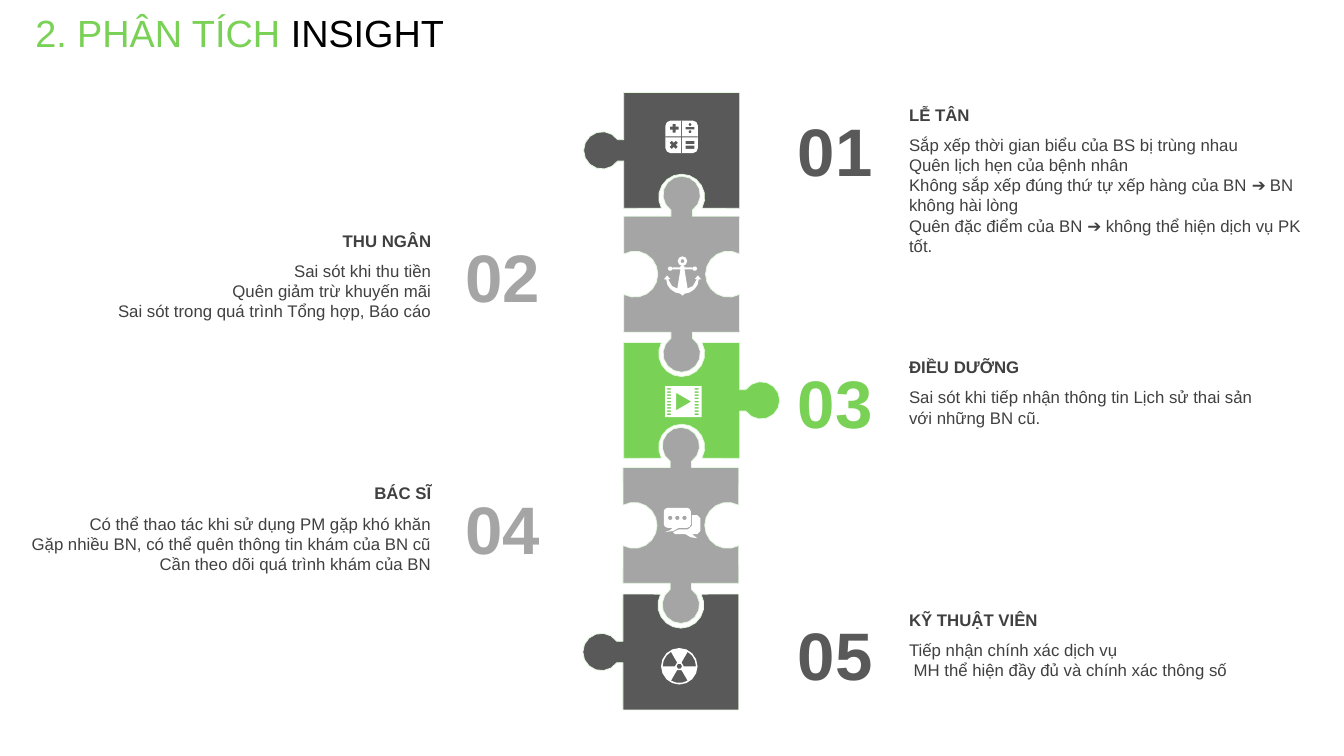
import math

import pptx
import pptx.dml.color
import pptx.enum.text
import pptx.util

Cm = pptx.util.Cm
Pt = pptx.util.Pt
RGB = pptx.dml.color.RGBColor
ALIGN = pptx.enum.text.PP_ALIGN
FIT = pptx.enum.text.MSO_AUTO_SIZE

DARK = RGB(0x59, 0x59, 0x59)
GREY = RGB(0xA5, 0xA5, 0xA5)
GREEN = RGB(0x79, 0xD1, 0x55)
PALE = RGB(0xE5, 0xFA, 0xE1)
INK = RGB(0x40, 0x40, 0x40)
WHITE = RGB(0xFF, 0xFF, 0xFF)
BLACK = RGB(0, 0, 0)

HALF = 1.46


def arc(x, y, r, start, end, steps):
    turns = [math.radians(start + (end - start) * i / steps) for i in range(steps + 1)]
    return [(x + r * math.cos(a), y + r * math.sin(a)) for a in turns]


def disc(x, y, r):
    steps = 16 if r > 0.2 else 8 if r > 0.1 else 6
    return arc(x, y, r, 0, 360, steps)[:-1]


def box(x, y, w, h):
    return [(x + a * w, y + b * h) for a, b in ((-1, -1), (1, -1), (1, 1), (-1, 1))]


def round_box(x, y, w, h, r):
    return [p for i, (cx, cy) in enumerate(box(x, y, w - r, h - r))
            for p in arc(cx, cy, r, 180 + 90 * i, 270 + 90 * i, 2)]


def plus(x, y, arm, half, turn=0):
    points = []
    for i in range(4):
        a = math.radians(turn + 90 * i)
        for u, v in ((arm, -half), (arm, half), (half, half)):
            points.append((x + u * math.cos(a) - v * math.sin(a),
                           y + u * math.sin(a) + v * math.cos(a)))
    return points


def edge(kind):
    if kind == "-":
        return []
    sign, mid, r, neck = (1, 0.54, 0.47, 0.27) if kind == "t" else (-1, -0.28, 0.58, 0.51)
    sweep = math.pi - math.asin(neck / r)
    curve = []
    for i in range(13):
        a = sweep * (i / 6 - 1)
        curve.append((r * math.sin(a), mid + sign * r * math.cos(a)))
    return [(-neck, 0)] + curve + [(neck, 0)] if kind == "t" else curve


def puzzle(kinds):
    points = []
    for kind, (nx, ny) in zip(kinds, ((0, -1), (1, 0), (0, 1), (-1, 0))):
        for t, d in [(-HALF, 0)] + edge(kind):
            points.append((-ny * t + nx * (HALF + d), nx * t + ny * (HALF + d)))
    return points


def sums():
    return [round_box(0, 0, 0.41, 0.41, 0.13), plus(0, 0, 0.41, 0.01),
            plus(-0.19, -0.22, 0.11, 0.04), plus(-0.2, 0.2, 0.11, 0.04, 45),
            box(0.21, -0.22, 0.11, 0.03), disc(0.21, -0.31, 0.04), disc(0.21, -0.13, 0.04),
            box(0.21, 0.14, 0.11, 0.04), box(0.21, 0.26, 0.11, 0.04)]


def anchor():
    side = [(0.05, -0.26), (0.05, -0.22), (0.25, -0.22), (0.25, -0.17), (0.05, -0.17),
            (0.13, 0.31), (0.26, 0.25), (0.36, 0.08), (0.31, 0.07), (0.39, -0.02),
            (0.47, 0.08), (0.41, 0.08), (0.38, 0.22), (0.3, 0.33), (0.18, 0.41),
            (0.06, 0.44)]
    return [side + [(0, 0.49)] + [(-x, y) for x, y in reversed(side)],
            disc(0, -0.38, 0.12), disc(0, -0.38, 0.05),
            disc(0.31, -0.19, 0.06), disc(-0.31, -0.19, 0.06)]


def film():
    holes = [box(x, 0.08 * i, 0.05, 0.02) for x in (-0.36, 0.34) for i in range(-4, 5)]
    return [box(0, 0, 0.46, 0.39), [(-0.18, -0.22), (-0.18, 0.22), (0.2, 0)]] + holes


def chat():
    tail = [(-0.25, 0.13), (-0.1, 0.13), (-0.22, 0.2), (-0.43, 0.23), (-0.3, 0.18)]
    back = [(0.25, -0.2), (0.38, -0.2), (0.46, -0.12), (0.46, 0.2), (0.38, 0.28),
            (0.25, 0.28), (0.38, 0.38), (0.22, 0.36), (0.08, 0.28), (-0.18, 0.28),
            (-0.23, 0.23), (-0.08, 0.16), (0.15, 0.16), (0.25, 0.07)]
    dots = [disc(x, -0.13, 0.06) for x in (-0.3, -0.12, 0.06)]
    return [round_box(-0.12, -0.13, 0.34, 0.25, 0.09), tail, back] + dots


def atom():
    blades = [arc(0, 0, 0.42, a - 30, a + 30, 3) + arc(0, 0, 0.11, a + 30, a - 30, 1)
              for a in (90, 210, 330)]
    return [disc(0, 0, 0.46), disc(0, 0, 0.07)] + blades


class Board:
    """Holds the text style and the slide, and draws each kind of element."""

    font = "Arial"

    def __init__(self, slide):
        self.slide = slide

    def outline(self, x, y, paths, fill, line=None):
        maker = None
        for path in paths:
            points = [(Cm(x + px), Cm(y + py)) for px, py in path]
            if maker is None:
                maker = self.slide.shapes.build_freeform(*points[0])
            else:
                maker.move_to(*points[0])
            maker.add_line_segments(points[1:], close=True)
        shape = maker.convert_to_shape()
        shape.shadow.inherit = False
        shape.fill.solid()
        shape.fill.fore_color.rgb = fill
        if line is None:
            shape.line.fill.background()
        else:
            shape.line.color.rgb = line
            shape.line.width = Pt(0.5)

    def frame(self, x, y, w, h):
        text = self.slide.shapes.add_textbox(Cm(x), Cm(y), Cm(w), Cm(h)).text_frame
        text.word_wrap = True
        return text

    def text(self, x, y, w, h, lines, size=12, color=INK, bold=False, align=ALIGN.LEFT):
        text = self.frame(x, y, w, h)
        text.auto_size = FIT.SHAPE_TO_FIT_TEXT
        for i, words in enumerate(lines):
            para = text.add_paragraph() if i else text.paragraphs[0]
            para.add_run().text = words
            para.alignment = align
            font = para.font
            font.name, font.size, font.bold = self.font, Pt(size), bold
            font.color.rgb = color

    def title(self, parts):
        para = self.frame(0.64, 0.25, 22.02, 1.96).paragraphs[0]
        para.line_spacing = 0.9
        para.font.name, para.font.size = self.font, Pt(27)
        for words, color in parts:
            run = para.add_run()
            run.text = words
            run.font.color.rgb = color

    def note(self, row, color, width, head, lines):
        left = row % 2 == 1
        top = 2.51 + 3.18 * row
        x, align = (0.3, ALIGN.RIGHT) if left else (22.66, ALIGN.LEFT)
        self.text(11.33 if left else 19.71, top + 0.11, 2.67, 2.31, [f"{row + 1:02}"],
                  48, color, True, ALIGN.CENTER)
        self.text(x, top, width, 0.76, [head], bold=True, align=align)
        self.text(x, top + 0.76, width, 0.25 + 0.52 * len(lines), lines, align=align)


ROWS = [
    (DARK, "--nt", 17.18, 2.33, sums, 17.18, 3.45, 10.59, "LỄ TÂN",
     ["Sắp xếp thời gian biểu của BS bị trùng nhau", "Quên lịch hẹn của bệnh nhân",
      "Không sắp xếp đúng thứ tự xếp hàng của BN ➔ BN không hài lòng",
      "Quên đặc điểm của BN ➔ không thể hiện dịch vụ PK tốt."]),
    (GREY, "tntn", 17.18, 5.45, anchor, 17.2, 6.96, 10.82, "THU NGÂN",
     ["Sai sót khi thu tiền", "Quên giảm trừ khuyến mãi",
      "Sai sót trong quá trình Tổng hợp, Báo cáo"]),
    (GREEN, "ntn-", 17.18, 8.63, film, 17.22, 10.12, 9.35, "ĐIỀU DƯỠNG",
     ["Sai sót khi tiếp nhận thông tin Lịch sử thai sản với những BN cũ."]),
    (GREY, "tntn", 17.16, 11.78, chat, 17.19, 13.18, 10.82, "BÁC SĨ",
     ["Có thể thao tác khi sử dụng PM gặp khó khăn",
      "Gặp nhiều BN, có thể quên thông tin khám của BN cũ",
      "Cần theo dõi quá trình khám của BN"]),
    (DARK, "n--t", 17.16, 14.97, atom, 17.12, 16.79, 9.35, "KỸ THUẬT VIÊN",
     ["Tiếp nhận chính xác dịch vụ", " MH thể hiện đầy đủ và chính xác thông số"]),
]


def main():
    deck = pptx.Presentation()
    deck.slide_width, deck.slide_height = Cm(33.87), Cm(19.05)
    board = Board(deck.slides.add_slide(deck.slide_layouts[6]))
    board.title([("2. PHÂN TÍCH", GREEN), (" INSIGHT", BLACK)])
    for row, (color, kinds, x, top, icon, ix, iy, width, head, lines) in enumerate(ROWS):
        board.outline(x, top + HALF, [puzzle(kinds)], color, PALE)
        board.outline(ix, iy, icon(), WHITE)
        board.note(row, color, width, head, lines)
    deck.save("out.pptx")


if __name__ == "__main__":
    main()
